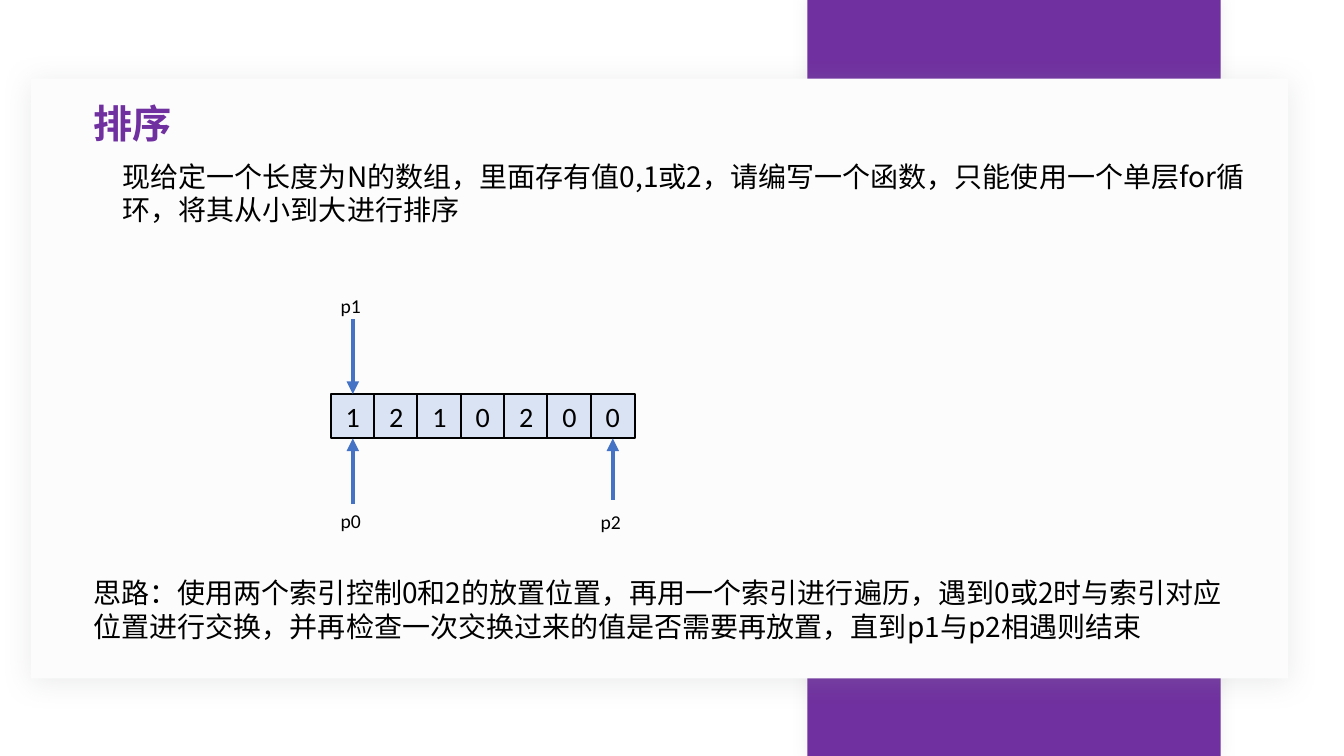
from lxml.etree import SubElement
from pptx import Presentation
from pptx.dml.color import RGBColor
from pptx.enum.shapes import MSO_CONNECTOR, MSO_SHAPE
from pptx.enum.text import MSO_ANCHOR, MSO_AUTO_SIZE, PP_ALIGN
from pptx.oxml.ns import qn
from pptx.util import Pt

PURPLE = RGBColor(0x70, 0x30, 0xA0)
CARD = RGBColor(0xFC, 0xFC, 0xFD)
CELL = RGBColor(0xDA, 0xE3, 0xF3)
BLUE = RGBColor(0x44, 0x72, 0xC4)
BLACK = RGBColor(0, 0, 0)
BAND_SHADOW = RGBColor(0xD5, 0xD7, 0xD5)
CARD_SHADOW = RGBColor(0x96, 0x9F, 0x98)
CHINESE = "Noto Sans CJK JP"
LATIN = "Calibri"


def write(shape, text, font=CHINESE, size=20, color=BLACK, bold=False,
          align=PP_ALIGN.LEFT, anchor=MSO_ANCHOR.TOP, wrap=True):
    frame = shape.text_frame
    frame.word_wrap = wrap
    frame.auto_size = MSO_AUTO_SIZE.NONE
    frame.vertical_anchor = anchor
    para = frame.paragraphs[0]
    para.alignment = align
    span = para.add_run()
    span.text = text
    span.font.name = font
    span.font.size = Pt(size)
    span.font.bold = bold
    span.font.color.rgb = color
    SubElement(span.font._element, qn("a:ea"), typeface=font)


def add_text(slide, box, text, **style):
    write(slide.shapes.add_textbox(*map(Pt, box)), text, **style)


def add_rectangle(slide, box, fill, line=None):
    shape = slide.shapes.add_shape(MSO_SHAPE.RECTANGLE, *map(Pt, box))
    shape.shadow.inherit = False
    shape.fill.solid()
    shape.fill.fore_color.rgb = fill
    if line is None:
        shape.line.fill.background()
    else:
        shape.line.color.rgb = line
        shape.line.width = Pt(1.5)
    return shape


def cast_shadow(shape, color, alpha, blur, distance=0, angle=0):
    effects = shape.element.spPr.find(qn("a:effectLst"))
    shadow = SubElement(effects, qn("a:outerShdw"), blurRad=str(Pt(blur)),
                        dist=str(Pt(distance)), dir=str(angle * 60000),
                        algn="ctr", rotWithShape="0")
    tint = SubElement(shadow, qn("a:srgbClr"), val=str(color))
    SubElement(tint, qn("a:alpha"), val=str(alpha * 1000))


def add_backdrop(slide, box):
    left, top, width, height = box
    band = add_rectangle(slide, (left + 576.7, top, 295.2, height), PURPLE)
    cast_shadow(band, BAND_SHADOW, alpha=40, blur=10)
    card = add_rectangle(slide, (left + 22.3, top + 56.2, 897.8, 428.4), CARD)
    cast_shadow(card, CARD_SHADOW, alpha=20, blur=20, distance=3, angle=90)


def add_title(slide, box, text):
    title = slide.shapes.title
    slide.shapes[-1].element.addnext(title.element)
    title.left, title.top, title.width, title.height = map(Pt, box)
    write(title, text, size=28, color=PURPLE, bold=True, wrap=False)


def add_array(slide, box, values):
    left, top, width, side = box
    step = (width - side) / (len(values) - 1)
    cells = []
    for index, value in enumerate(values):
        cell = add_rectangle(slide, (left + index * step, top, side, side), CELL, BLACK)
        write(cell, value, font=LATIN, align=PP_ALIGN.CENTER, anchor=MSO_ANCHOR.MIDDLE)
        cells.append(cell)
    return cells


def add_pointer(slide, cell, label, label_top, arrow_start, site):
    middle = cell.left + cell.width // 2
    arrow = slide.shapes.add_connector(
        MSO_CONNECTOR.STRAIGHT, middle, Pt(arrow_start), middle, cell.top)
    arrow.end_connect(cell, site)
    arrow.line.color.rgb = BLUE
    arrow.line.width = Pt(3)
    SubElement(arrow.line._get_or_add_ln(), qn("a:tailEnd"), type="triangle")
    SubElement(arrow._element.spPr, qn("a:effectLst"))
    add_text(slide, (cell.left.pt, label_top, cell.width.pt, 24.2), label,
             font=LATIN, size=14)


def build_slide(deck):
    slide = deck.slides.add_slide(deck.slide_layouts[5])
    add_backdrop(slide, (0, 0, 960, 540))
    add_title(slide, (59.8, 67, 70.6, 41), "排序")
    add_text(slide, (80.6, 110.2, 828, 55.7),
             "现给定一个长度为N的数组，里面存有值0,1或2，请编写一个函数，"
             "只能使用一个单层for循环，将其从小到大进行排序")
    add_text(slide, (59.8, 407.5, 838.1, 55.7),
             "思路：使用两个索引控制0和2的放置位置，再用一个索引进行遍历，"
             "遇到0或2时与索引对应位置进行交换，并再检查一次交换过来的值是否需要再放置，"
             "直到p1与p2相遇则结束")
    cells = add_array(slide, (236.2, 281.5, 217.4, 31.7), "1210200")
    add_pointer(slide, cells[0], "p0", label_top=360, arrow_start=360, site=2)
    add_pointer(slide, cells[-1], "p2", label_top=360.9, arrow_start=357.1, site=2)
    add_pointer(slide, cells[0], "p1", label_top=206.6, arrow_start=228.2, site=0)


def main():
    deck = Presentation()
    deck.slide_width, deck.slide_height = Pt(960), Pt(540)
    build_slide(deck)
    deck.save("out.pptx")


if __name__ == "__main__":
    main()
